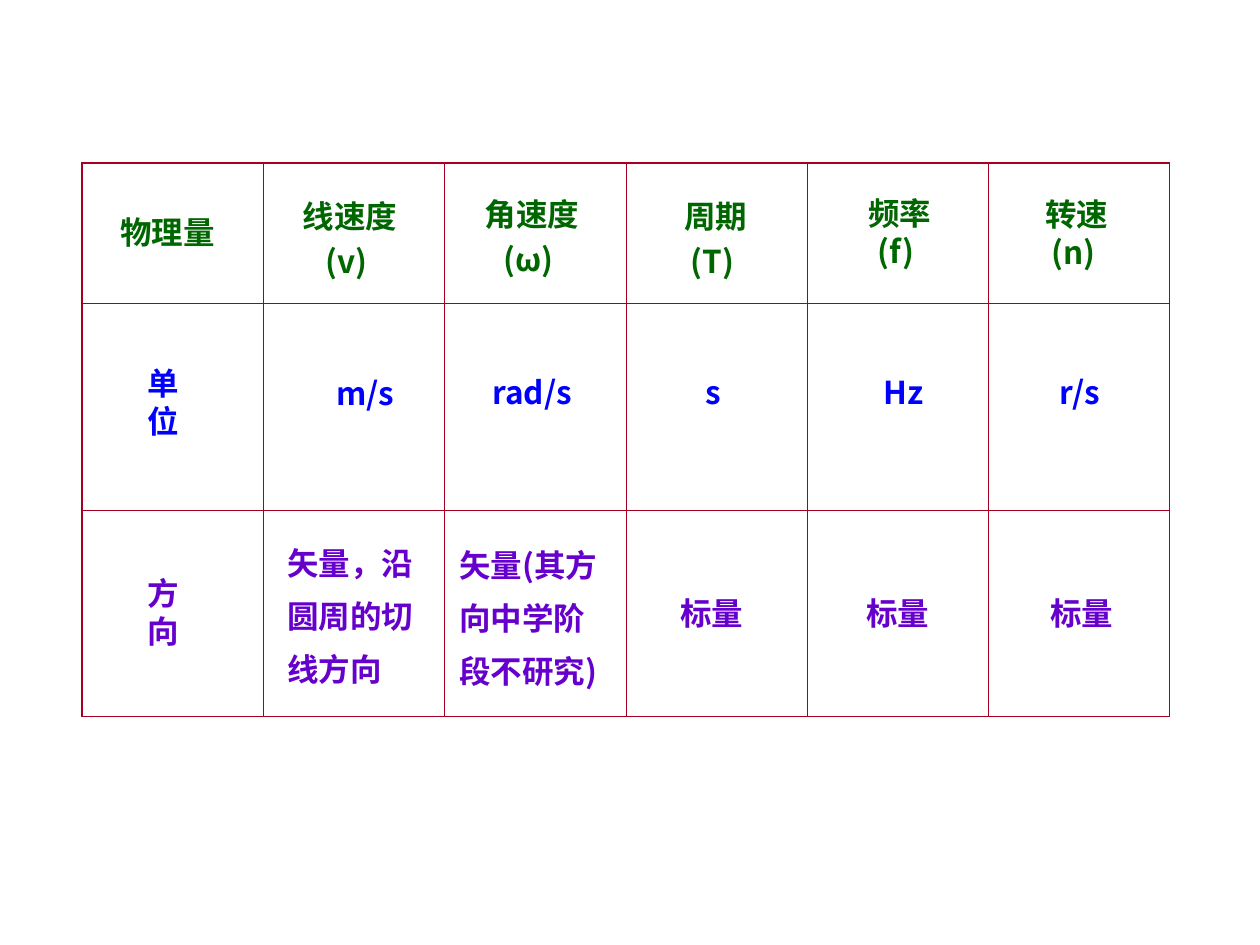
from lxml import etree
from pptx import Presentation
from pptx import util as u
from pptx.dml.color import RGBColor
from pptx.enum import text
from pptx.oxml import ns

PX = 914400 // 126
FONT = "Noto Sans CJK SC"
SIZE = 18
LINE_HEIGHT, PADDING = 37.8, 12.6
BORDER, THICK, THIN = "A50021", 0.75, 0.45
LEFT, CENTER = text.PP_ALIGN.LEFT, text.PP_ALIGN.CENTER

TABLE_LEFT, TABLE_TOP, TABLE_WIDTH = 82, 163, 1088
ROW_HEIGHTS = [140, 207, 207]
COLUMNS = 6

# Each entry: lines, left, top, width, line spacing, alignment
ROWS = [
    ("006600", [
        (["物理量"], 108, 199, 192, 1.2, LEFT),
        (["线速度", "(v) "], 275, 183, 150, 1.2, CENTER),
        (["角速度", "(ω) "], 457, 181, 150, 1.2, CENTER),
        (["周期", "(T) "], 641, 183, 150, 1.2, CENTER),
        (["频率", "(f) "], 825, 188, 150, 1, CENTER),
        (["转速", "(n) "], 1002, 189, 150, 1, CENTER),
    ]),
    ("0000FF", [
        (["单", "位"], 135, 358, 93, 1, LEFT),
        (["m/s"], 324, 368, 113, 1, LEFT),
        (["rad/s"], 480, 367, 134, 1, LEFT),
        (["s"], 693, 367, 134, 1, LEFT),
        (["Hz"], 871, 367, 134, 1, LEFT),
        (["r/s"], 1047, 367, 134, 1, LEFT),
    ]),
    ("6600CC", [
        (["方", "向"], 135, 568, 134, 1, LEFT),
        (["矢量，沿", "圆周的切", "线方向"], 275, 523, 214, 1.4, LEFT),
        (["矢量(其方", "向中学阶", "段不研究)"], 447, 525, 241, 1.4, LEFT),
        (["标量"], 668, 588, 134, 1, LEFT),
        (["标量"], 854, 588, 134, 1, LEFT),
        (["标量"], 1038, 588, 134, 1, LEFT),
    ]),
]


def px(length):
    return u.Emu(round(length * PX))


def color(value):
    return RGBColor.from_string(value)


def set_all(target, values):
    for name, value in values.items():
        setattr(target, name, value)


def set_borders(cell, widths):
    """Draw the left, right, top and bottom borders, in that order."""
    properties = cell._tc.get_or_add_tcPr()
    for position, (side, width) in enumerate(zip("LRTB", widths)):
        line = etree.Element(ns.qn(f"a:ln{side}"), w=str(u.Pt(width)))
        fill = etree.SubElement(line, ns.qn("a:solidFill"))
        etree.SubElement(fill, ns.qn("a:srgbClr"), val=BORDER)
        properties.insert(position, line)


def add_grid(page):
    rows = len(ROW_HEIGHTS)
    table = page.shapes.add_table(
        rows, COLUMNS, px(TABLE_LEFT), px(TABLE_TOP),
        px(TABLE_WIDTH), px(sum(ROW_HEIGHTS))).table
    set_all(table, {"first_row": False, "horz_banding": False})
    for column in table.columns:
        column.width = px(TABLE_WIDTH / COLUMNS)
    for r, height in enumerate(ROW_HEIGHTS):
        table.rows[r].height = px(height)
        for c in range(COLUMNS):
            cell = table.cell(r, c)
            cell.fill.background()
            outer = (c == 0, c == COLUMNS - 1, r == 0, r == rows - 1)
            set_borders(cell, [THICK if edge else THIN for edge in outer])


def add_label(page, ink, lines, left, top, width, spacing, align):
    height = len(lines) * spacing * LINE_HEIGHT + PADDING
    frame = page.shapes.add_textbox(px(left), px(top), px(width), px(height)).text_frame
    set_all(frame, {"word_wrap": True, "vertical_anchor": text.MSO_ANCHOR.MIDDLE,
                    "auto_size": text.MSO_AUTO_SIZE.SHAPE_TO_FIT_TEXT})
    for i, line in enumerate(lines):
        para = frame.add_paragraph() if i else frame.paragraphs[0]
        set_all(para, {"alignment": align, "line_spacing": float(spacing)})
        span = para.add_run()
        span.text = line
        set_all(span.font, {"size": u.Pt(SIZE), "bold": True, "name": FONT})
        span.font.color.rgb = color(ink)
        etree.SubElement(span.font._element, ns.qn("a:ea"), typeface=FONT)


def main():
    deck = Presentation()
    set_all(deck, {"slide_width": px(1260), "slide_height": px(945)})
    page = deck.slides.add_slide(deck.slide_layouts[6])
    add_grid(page)
    for ink, labels in ROWS:
        for label in labels:
            add_label(page, ink, *label)
    deck.save("out.pptx")


if __name__ == "__main__":
    main()
